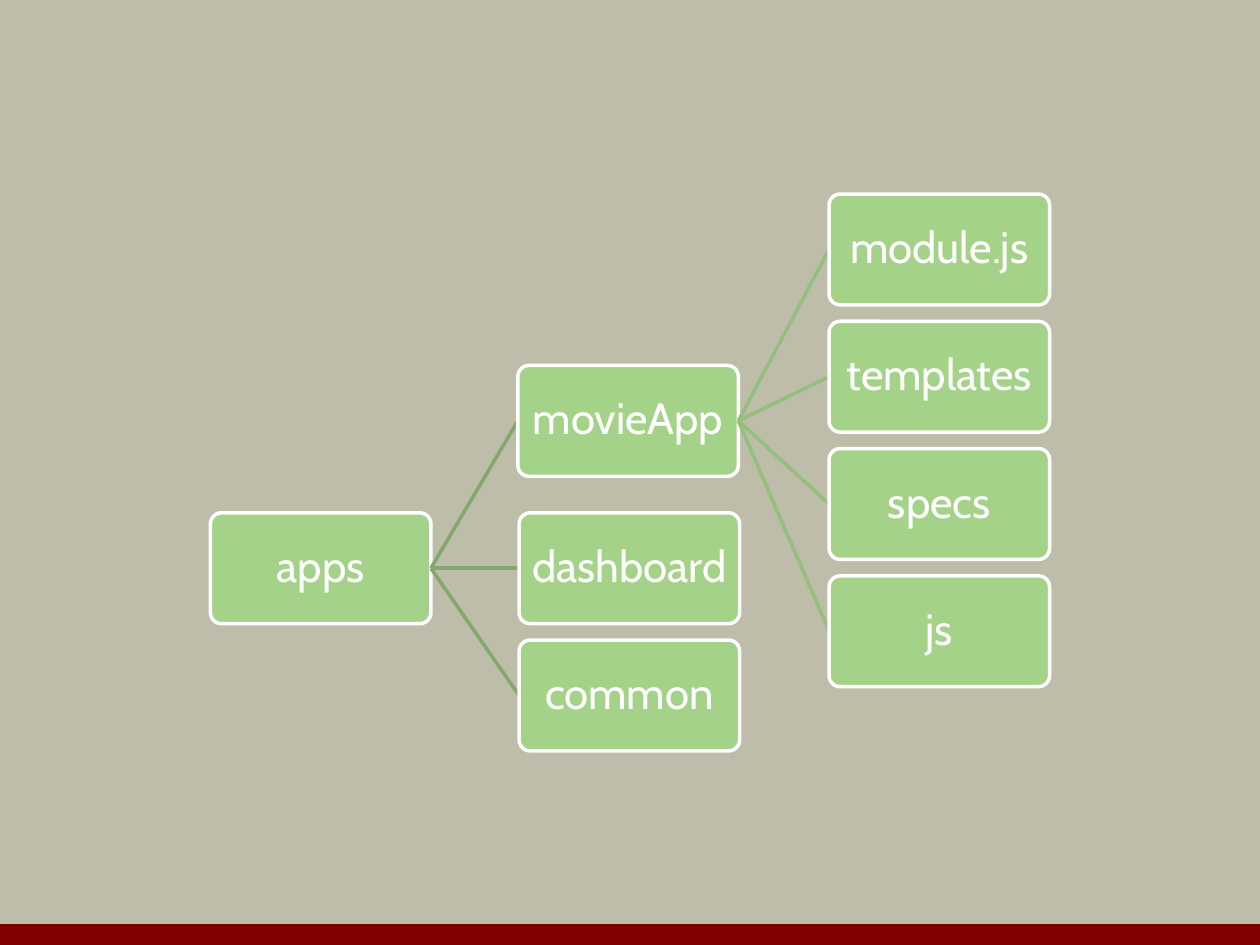
import pptx
import pptx.util
import pptx.dml.color
import pptx.enum.shapes
import pptx.enum.text
import pptx.oxml.ns
import lxml.etree

Inches = pptx.util.Inches
COLORS = {
    "background": "BDBDA9",
    "footer": "800000",
    "box": "A4D289",
    "white": "FFFFFF",
    "first_branch": "83A86E",
    "second_branch": "95BF7C",
}
BOX_WIDTH, BOX_HEIGHT = 1.75, 0.88
ROW_STEP = 1.01

ROOT = ("apps", 1.67, 4.07)
FOLDERS = [
    ("movieApp", 4.11, 2.9),
    ("dashboard", 4.12, 4.07),
    ("common", 4.12, 4.07 + ROW_STEP),
]
CONTENTS = [
    (name, 6.58, 1.54 + row * ROW_STEP)
    for row, name in enumerate(["module.js", "templates", "specs", "js"])
]


def rgb(name):
    return pptx.dml.color.RGBColor.from_string(COLORS[name])


def add_line(slide, start, end, color, width):
    line = slide.shapes.add_connector(
        pptx.enum.shapes.MSO_CONNECTOR.STRAIGHT,
        *[Inches(value) for value in (*start, *end)])
    line.line.color.rgb = rgb(color)
    line.line.width = pptx.util.Pt(width)
    properties = line._element.spPr
    lxml.etree.SubElement(properties, pptx.oxml.ns.qn("a:effectLst"))


def add_box(slide, node):
    name, left, top = node
    box = slide.shapes.add_shape(
        pptx.enum.shapes.MSO_SHAPE.ROUNDED_RECTANGLE,
        Inches(left), Inches(top), Inches(BOX_WIDTH), Inches(BOX_HEIGHT))
    box.adjustments[0] = 0.1
    box.shadow.inherit = False
    box.fill.solid()
    box.fill.fore_color.rgb = rgb("box")
    box.line.color.rgb = rgb("white")
    box.line.width = pptx.util.Pt(2)

    frame = box.text_frame
    frame.word_wrap = True
    frame.vertical_anchor = pptx.enum.text.MSO_ANCHOR.MIDDLE
    frame.margin_left = frame.margin_right = Inches(0.02)
    frame.margin_top = frame.margin_bottom = Inches(0.02)
    para = frame.paragraphs[0]
    para.text = name
    para.alignment = pptx.enum.text.PP_ALIGN.CENTER
    para.line_spacing = 0.9
    para.font.name = "Cabin"
    para.font.size = pptx.util.Pt(25)
    para.font.color.rgb = rgb("white")


def add_branches(slide, parent, children, color):
    """Join the parent's right edge to each child's left edge."""
    start = (parent[1] + BOX_WIDTH, parent[2] + BOX_HEIGHT / 2)
    for child in children:
        end = (child[1], child[2] + BOX_HEIGHT / 2)
        add_line(slide, start, end, color, 2)
        add_box(slide, child)


def main():
    deck = pptx.Presentation()
    deck.slide_width, deck.slide_height = Inches(10), Inches(7.5)
    slide = deck.slides.add_slide(deck.slide_layouts[6])
    slide.background.fill.solid()
    slide.background.fill.fore_color.rgb = rgb("background")

    # Footer bar
    add_line(slide, (0, 7.42), (10, 7.42), "footer", 12)

    # Folder tree
    add_box(slide, ROOT)
    add_branches(slide, ROOT, FOLDERS, "first_branch")
    add_branches(slide, FOLDERS[0], CONTENTS, "second_branch")

    deck.save("out.pptx")


main()
